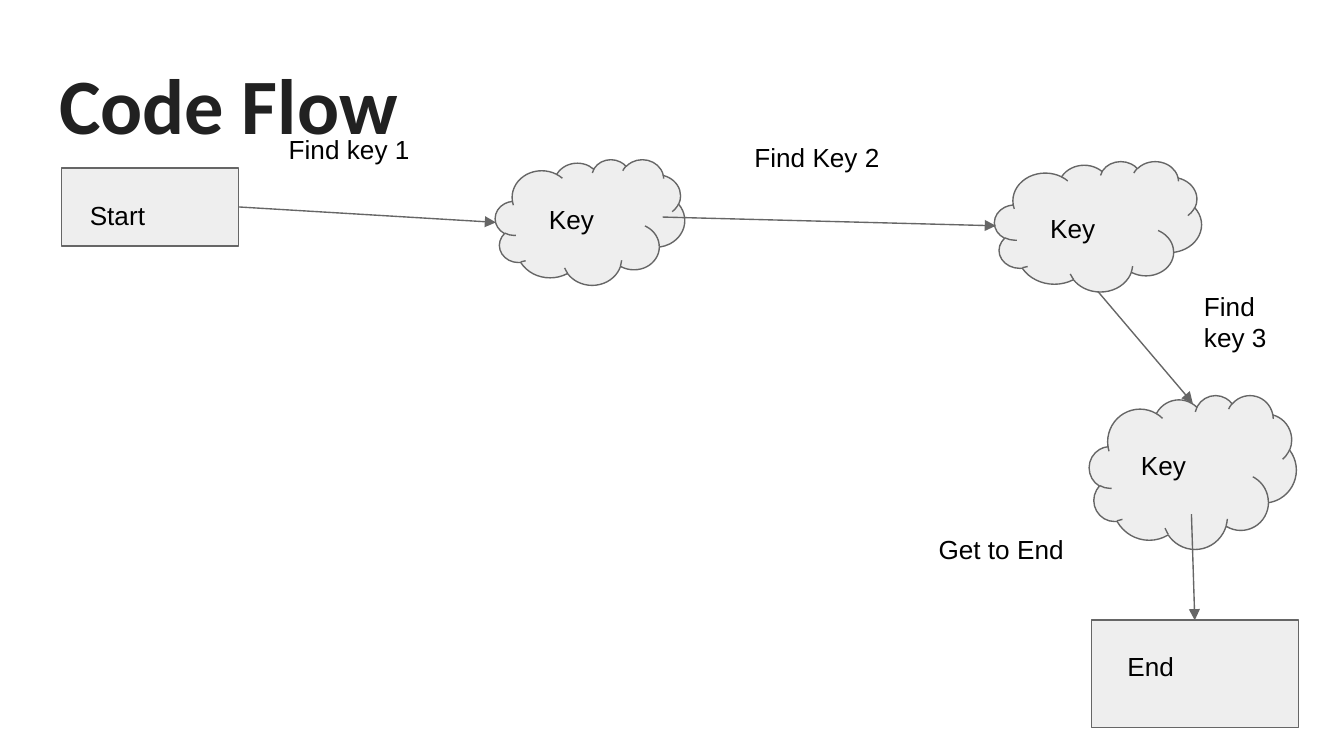
from dataclasses import dataclass

from lxml import etree
from pptx import Presentation
from pptx.dml.color import RGBColor
from pptx.enum.shapes import MSO_CONNECTOR, MSO_SHAPE
from pptx.enum.text import MSO_ANCHOR, MSO_AUTO_SIZE, PP_ALIGN
from pptx.oxml.ns import qn
from pptx.util import Pt

RECTANGLE, CLOUD = MSO_SHAPE.RECTANGLE, MSO_SHAPE.CLOUD
STRAIGHT = MSO_CONNECTOR.STRAIGHT
LEFT, TOP = PP_ALIGN.LEFT, MSO_ANCHOR.TOP
NO_FIT = MSO_AUTO_SIZE.NONE
TOP_SIDE, RIGHT_SIDE = 0, 3
TITLE_ONLY = 5
PX = 4572  # EMU, 200 px to the inch


@dataclass(frozen=True)
class Theme:
    fill: RGBColor = RGBColor(0xEE, 0xEE, 0xEE)
    line: RGBColor = RGBColor(0x66, 0x66, 0x66)
    title_color: RGBColor = RGBColor(0x21, 0x21, 0x21)
    text_color: RGBColor = RGBColor(0, 0, 0)
    title_font: str = "Calibri"
    text_font: str = "Arial"
    title_size: int = 42
    text_size: int = 14
    line_width: float = 0.75
    inset: int = 20


@dataclass(frozen=True)
class Box:
    left: int
    top: int
    width: int
    height: int

    def inner(self, left, top, width, height):
        return Box(self.left + left, self.top + top, width, height)

    def point(self, x, y):
        return (self.left + x) * PX, (self.top + y) * PX

    def emu(self):
        return [side * PX for side in (self.left, self.top, self.width, self.height)]


THEME = Theme()

# name: (shape, place in the flow, caption, caption place in the node)
NODES = {
    "start": (RECTANGLE, (0, 72, 263, 116), "Start", (22, 27, 212, 72)),
    "end": (RECTANGLE, (1532, 745, 308, 160), "End", (34, 25, 242, 96)),
    "key 1": (CLOUD, (645, 59, 282, 187), "Key", (60, 45, 190, 84)),
    "key 2": (CLOUD, (1388, 62, 308, 194), "Key", (63, 56, 176, 84)),
    "key 3": (CLOUD, (1529, 410, 308, 229), "Key", (57, 61, 190, 116)),
}

# (label, label place, arrow start, arrow end)
STEPS = [
    ("Find key 1", (318, 0, 230, 96), (263, 130), (646, 153)),
    ("Find Key 2", (1011, 12, 308, 116), (894, 145), (1390, 158)),
    ("Find key 3", (1680, 234, 176, 116), (1542, 256), (1683, 422)),
    ("Get to End", (1285, 596, 282, 140), (1681, 587), (1686, 745)),
]


def set_all(target, values):
    for name, value in values.items():
        setattr(target, name, value)


def write(frame, text, font, size, color, bold=False):
    inset = THEME.inset * PX
    set_all(frame, {
        "word_wrap": True, "auto_size": NO_FIT, "vertical_anchor": TOP,
        "margin_left": inset, "margin_right": inset,
        "margin_top": inset, "margin_bottom": inset,
    })
    para = frame.paragraphs[0]
    para.alignment = LEFT
    span = para.add_run()
    span.text = text
    set_all(span.font, {"name": font, "size": Pt(size), "bold": bold})
    span.font.color.rgb = color


def style_line(line):
    line.color.rgb = THEME.line
    line.width = Pt(THEME.line_width)


def add_title(page, box, text):
    title = page.shapes.title
    set_all(title, dict(zip(("left", "top", "width", "height"), box.emu())))
    write(title.text_frame, text, THEME.title_font, THEME.title_size,
          THEME.title_color, bold=True)


def add_label(page, box, text):
    label = page.shapes.add_textbox(*box.emu())
    write(label.text_frame, text, THEME.text_font, THEME.text_size, THEME.text_color)


def add_node(page, box, kind, caption, caption_place):
    node = page.shapes.add_shape(kind, *box.emu())
    node.shadow.inherit = False
    node.fill.solid()
    node.fill.fore_color.rgb = THEME.fill
    style_line(node.line)
    add_label(page, box.inner(*caption_place), caption)
    return node


def add_arrow(page, start, end):
    arrow = page.shapes.add_connector(STRAIGHT, *start, *end)
    style_line(arrow.line)
    outline = arrow._element.spPr.find(qn("a:ln"))
    etree.SubElement(outline, qn("a:tailEnd"), type="triangle")
    etree.SubElement(arrow._element.spPr, qn("a:effectLst"))
    return arrow


def add_flow(page, box):
    nodes = {
        name: add_node(page, box.inner(*place), kind, caption, caption_place)
        for name, (kind, place, caption, caption_place) in NODES.items()
    }
    arrows = []
    for label, place, start, end in STEPS:
        arrows.append(add_arrow(page, box.point(*start), box.point(*end)))
        add_label(page, box.inner(*place), label)
    arrows[0].begin_connect(nodes["start"], RIGHT_SIDE)
    arrows[-1].end_connect(nodes["end"], TOP_SIDE)


def main():
    deck = Presentation()
    set_all(deck, {"slide_width": 2000 * PX, "slide_height": 1125 * PX})
    page = deck.slides.add_slide(deck.slide_layouts[TITLE_ONLY])
    add_title(page, Box(68, 64, 1864, 176), "Code Flow")
    add_flow(page, Box(92, 178, 1856, 905))
    deck.save("out.pptx")


if __name__ == "__main__":
    main()
